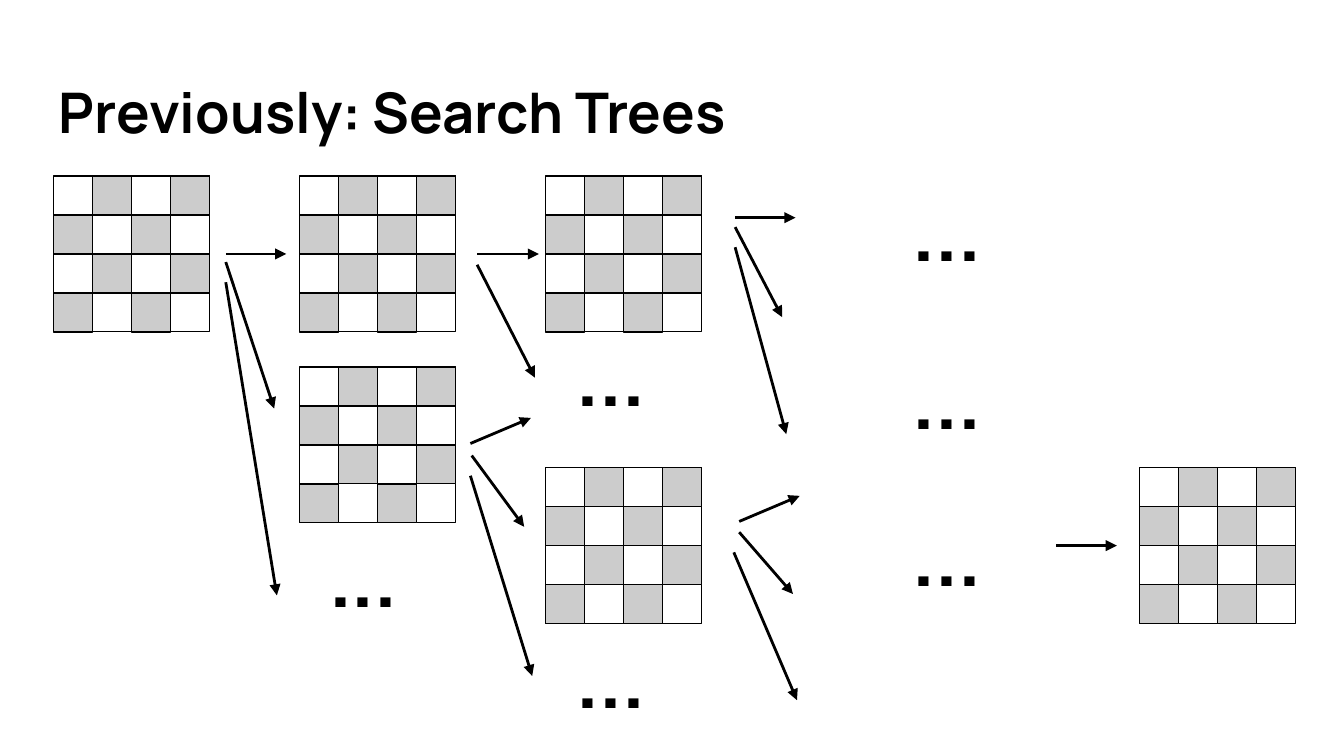
from dataclasses import dataclass, field

from lxml import etree
from pptx import Presentation
from pptx.dml.color import RGBColor
from pptx.enum.shapes import MSO_CONNECTOR, MSO_SHAPE
from pptx.enum.text import MSO_ANCHOR
from pptx.oxml.ns import qn
from pptx.shapes.shapetree import GroupShapes
from pptx.text.text import TextFrame
from pptx.util import Inches, Pt

RECTANGLE = MSO_SHAPE.RECTANGLE
STRAIGHT = MSO_CONNECTOR.STRAIGHT
MIDDLE = MSO_ANCHOR.MIDDLE
BLACK, WHITE, GRAY = "000000", "FFFFFF", "CCCCCC"
SLIDE_WIDTH = Inches(10)
SLIDE_HEIGHT = SLIDE_WIDTH * 9 // 16
SQUARES_PER_SIDE = 4
SQUARE = 0.29
BOARD = SQUARES_PER_SIDE * SQUARE

Point = tuple[float, float]


@dataclass
class Arrow:
    start: Point
    end: Point


@dataclass
class TreeLevel:
    boards: list[Point] = field(default_factory=list)
    ellipses: list[Point] = field(default_factory=list)
    arrows: list[Arrow] = field(default_factory=list)


LEVELS = [
    TreeLevel(boards=[(0.4, 1.31)]),
    TreeLevel(
        boards=[(2.23, 1.31), (2.23, 2.73)],
        ellipses=[(2.35, 3.59)],
        arrows=[
            Arrow((1.68, 1.89), (2.13, 1.89)),
            Arrow((1.68, 1.95), (2.04, 3.04)),
            Arrow((1.68, 2.1), (2.06, 4.43)),
        ],
    ),
    TreeLevel(
        boards=[(4.06, 1.31), (4.06, 3.48)],
        ellipses=[(4.19, 4.34), (4.19, 2.09)],
        arrows=[
            Arrow((3.55, 1.89), (4.01, 1.89)),
            Arrow((3.55, 1.97), (3.98, 2.81)),
            Arrow((3.5, 3.3), (3.95, 3.11)),
            Arrow((3.51, 3.39), (3.9, 3.92)),
            Arrow((3.5, 3.54), (3.96, 5.03)),
        ],
    ),
    TreeLevel(
        ellipses=[(6.69, 1.01), (6.69, 2.26), (6.69, 3.43)],
        arrows=[
            Arrow((5.47, 1.62), (5.92, 1.62)),
            Arrow((5.47, 1.69), (5.82, 2.36)),
            Arrow((5.47, 1.84), (5.85, 3.23)),
            Arrow((5.5, 3.88), (5.95, 3.69)),
            Arrow((5.5, 3.96), (5.9, 4.42)),
            Arrow((5.46, 4.11), (5.93, 5.21)),
        ],
    ),
    TreeLevel(boards=[(8.48, 3.48)], arrows=[Arrow((7.86, 4.06), (8.31, 4.06))]),
]


def color(code: str) -> RGBColor:
    return RGBColor.from_string(code)


def write(frame: TextFrame, words: str, font_name: str, size: float, bold: bool) -> None:
    frame.word_wrap = True
    frame.margin_top = frame.margin_bottom = Inches(0.1)
    frame.margin_left = frame.margin_right = Inches(0.1)
    frame.text = words
    font = frame.paragraphs[0].runs[0].font
    font.name = font_name
    font.size = Pt(size)
    font.bold = bold
    font.color.rgb = color(BLACK)


def draw_square(shapes: GroupShapes, left: float, top: float, side: float, fill: str) -> None:
    square = shapes.add_shape(
        RECTANGLE, Inches(left), Inches(top), Inches(side), Inches(side)
    )
    square.shadow.inherit = False
    square.fill.solid()
    square.fill.fore_color.rgb = color(fill)
    square.line.color.rgb = color(BLACK)
    square.line.width = Pt(0.75)


def draw_board(shapes: GroupShapes, left: float, top: float) -> None:
    draw_square(shapes, left, top, BOARD, WHITE)
    for row in range(SQUARES_PER_SIDE):
        for column in range((row + 1) % 2, SQUARES_PER_SIDE, 2):
            draw_square(shapes, left + column * SQUARE, top + row * SQUARE, SQUARE, GRAY)


def draw_ellipsis(shapes: GroupShapes, left: float, top: float) -> None:
    ellipsis = shapes.add_textbox(Inches(left), Inches(top), Inches(0.92), Inches(1.02))
    write(ellipsis.text_frame, "...", "Cabin", 60, False)


def draw_arrow(shapes: GroupShapes, arrow: Arrow) -> None:
    ends = [Inches(value) for value in (*arrow.start, *arrow.end)]
    connector = shapes.add_connector(STRAIGHT, *ends)
    connector.line.color.rgb = color(BLACK)
    connector.line.width = Pt(1.5)
    etree.SubElement(connector.get_or_add_ln(), qn("a:tailEnd"), type="triangle")
    etree.SubElement(connector._element.spPr, qn("a:effectLst"))


def main() -> None:
    deck = Presentation()
    deck.slide_width, deck.slide_height = SLIDE_WIDTH, SLIDE_HEIGHT
    slide = deck.slides.add_slide(deck.slide_layouts[6])

    title = slide.shapes.add_textbox(Inches(0.34), Inches(0.49), Inches(9.32), Inches(0.68))
    write(title.text_frame, "Previously: Search Trees", "Manrope", 30, True)
    title.text_frame.vertical_anchor = MIDDLE

    for level in LEVELS:
        shapes = slide.shapes.add_group_shape().shapes
        for left, top in level.boards:
            draw_board(shapes, left, top)
        for left, top in level.ellipses:
            draw_ellipsis(shapes, left, top)
        for arrow in level.arrows:
            draw_arrow(shapes, arrow)

    deck.save("out.pptx")


if __name__ == "__main__":
    main()
